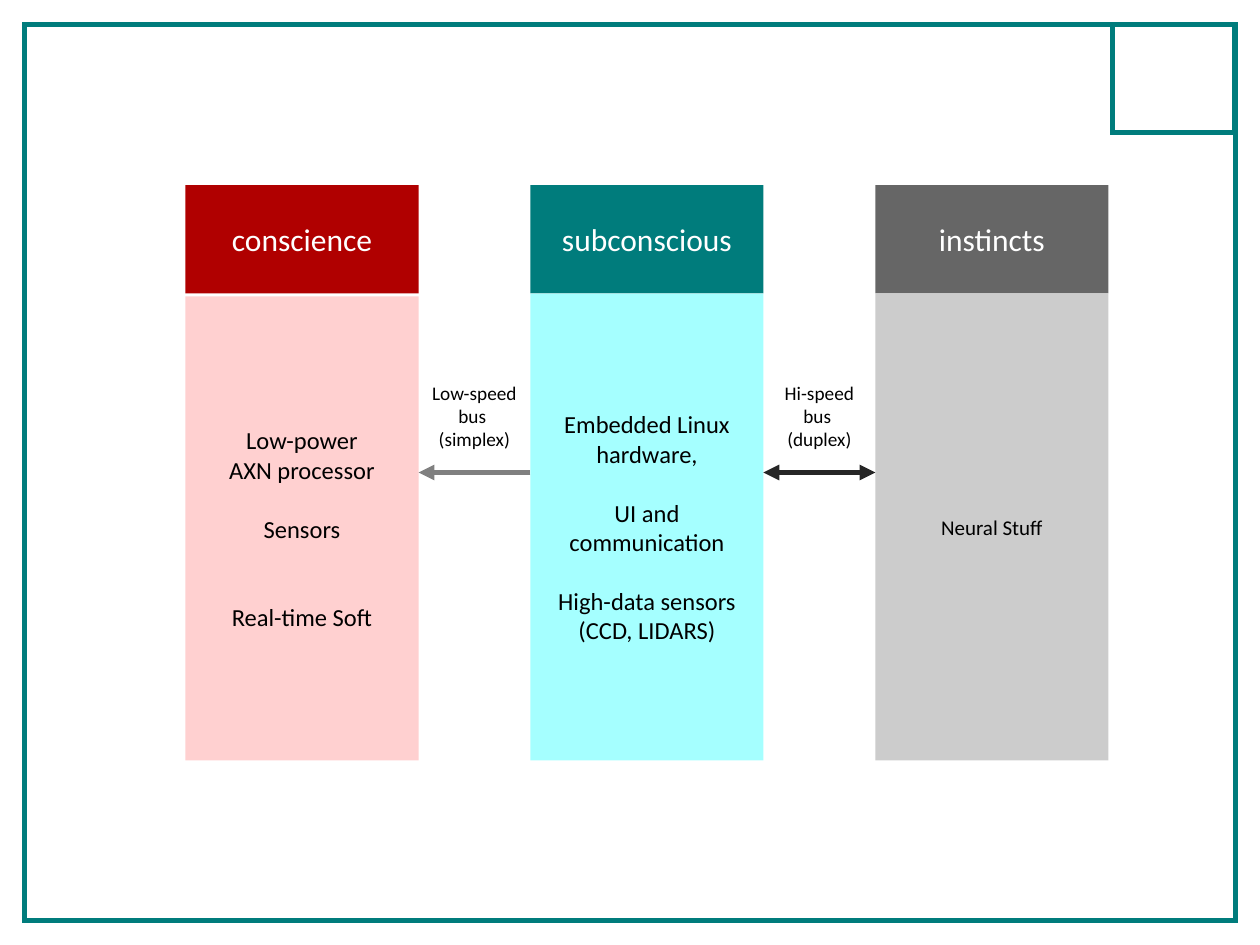
from dataclasses import dataclass

from lxml.etree import SubElement
from pptx import Presentation
from pptx.dml.color import RGBColor
from pptx.enum.shapes import MSO_CONNECTOR as Connector, MSO_SHAPE as Preset
from pptx.enum.text import MSO_ANCHOR as Anchor, PP_ALIGN as Align
from pptx.oxml.ns import qn
from pptx.util import Pt

COLORS = {
    "teal": "007C7C", "aqua": "A5FFFF", "red": "B00000", "pink": "FFD0D0",
    "dark_gray": "666666", "light_gray": "CCCCCC", "gray": "808080",
    "charcoal": "262626", "white": "FFFFFF", "black": "000000",
}
FONT = "Calibri"

# Column grid, in points
LEFT, TOP = 106, 105.84
COLUMN_WIDTH, GAP = 133.2, 63.9
HEADER_HEIGHT, BODY_HEIGHT = 61.92, 266.8
ARROW_Y = 270
LABEL_TOP, LABEL_HEIGHT = 200.4, 60.48
LINE = 16.8  # height of one line of body text


@dataclass
class Line:
    text: str
    space_before: float = 0


@dataclass
class Column:
    title: str
    header_color: str
    body_color: str
    lines: list[Line]
    size: float = 14
    body_offset: float = 0


@dataclass
class Bus:
    words: list[str]
    color: str
    duplex: bool


COLUMNS = [
    Column("conscience", "red", "pink", [
        Line("Low-power"), Line("AXN processor"),
        Line("Sensors", LINE), Line("Real-time Soft", 2 * LINE),
    ], body_offset=1.6),
    Column("subconscious", "teal", "aqua", [
        Line("Embedded Linux hardware,"), Line("UI and communication", LINE),
        Line("High-data sensors (CCD, LIDARS)", LINE),
    ]),
    Column("instincts", "dark_gray", "light_gray", [Line("Neural Stuff")], size=12),
]
BUSES = [
    Bus(["Low-speed", "bus ", "(simplex)"], "gray", False),
    Bus(["Hi-speed", "bus ", "(duplex)"], "charcoal", True),
]


def rgb(name: str) -> RGBColor:
    return RGBColor.from_string(COLORS[name])


def write_lines(shape, lines: list[Line], size: float, color: str, anchor=Anchor.MIDDLE) -> None:
    frame = shape.text_frame
    frame.word_wrap = True
    frame.vertical_anchor = anchor
    for index, line in enumerate(lines):
        paragraph = frame.add_paragraph() if index else frame.paragraphs[0]
        paragraph.alignment = Align.CENTER
        paragraph.space_before = Pt(line.space_before)
        run = paragraph.add_run()
        run.text = line.text
        run.font.name = FONT
        run.font.size = Pt(size)
        run.font.color.rgb = rgb(color)


def add_box(slide, left: float, top: float, width: float, height: float,
            fill: str | None = None, line: str | None = None):
    shape = slide.shapes.add_shape(Preset.RECTANGLE, Pt(left), Pt(top), Pt(width), Pt(height))
    shape.shadow.inherit = False
    if fill:
        shape.fill.solid()
        shape.fill.fore_color.rgb = rgb(fill)
    else:
        shape.fill.background()
    if line:
        shape.line.color.rgb = rgb(line)
        shape.line.width = Pt(3)
        SubElement(shape.line._get_or_add_ln(), qn("a:miter"), lim="800000")
    else:
        shape.line.fill.background()
    return shape


def add_column(slide, left: float, column: Column) -> None:
    header = add_box(slide, left, TOP, COLUMN_WIDTH, HEADER_HEIGHT, column.header_color)
    write_lines(header, [Line(column.title)], 18, "white")
    body = add_box(slide, left, TOP + HEADER_HEIGHT + column.body_offset, COLUMN_WIDTH,
                   BODY_HEIGHT - column.body_offset, column.body_color)
    write_lines(body, column.lines, column.size, "black")


def add_bus(slide, left: float, bus: Bus) -> None:
    right = left + GAP
    start, end = (left, right) if bus.duplex else (right, left)
    arrow = slide.shapes.add_connector(Connector.STRAIGHT, Pt(start), Pt(ARROW_Y), Pt(end), Pt(ARROW_Y))
    arrow.line.color.rgb = rgb(bus.color)
    arrow.line.width = Pt(3)
    outline = arrow.line._get_or_add_ln()
    for tag in ["a:headEnd", "a:tailEnd"] if bus.duplex else ["a:tailEnd"]:
        SubElement(outline, qn(tag), type="triangle")
    SubElement(arrow._element.spPr, qn("a:effectLst"))

    label = slide.shapes.add_textbox(Pt(left), Pt(LABEL_TOP), Pt(GAP), Pt(LABEL_HEIGHT))
    label.text_frame.margin_left = label.text_frame.margin_right = Pt(0)
    write_lines(label, [Line(word) for word in bus.words], 11, "black", Anchor.BOTTOM)


presentation = Presentation()
presentation.slide_width, presentation.slide_height = Pt(720), Pt(540)
slide = presentation.slides.add_slide(presentation.slide_layouts[6])

# Frame and corner square
add_box(slide, 14, 14, 691.92, 511.92, line="teal")
add_box(slide, 635.76, 14, 69.84, 61.92, line="teal")

# Columns
pitch = COLUMN_WIDTH + GAP
for index, column in enumerate(COLUMNS):
    add_column(slide, LEFT + index * pitch, column)

# Buses between the columns
for index, bus in enumerate(BUSES):
    add_bus(slide, LEFT + COLUMN_WIDTH + index * pitch, bus)

presentation.save("out.pptx")
